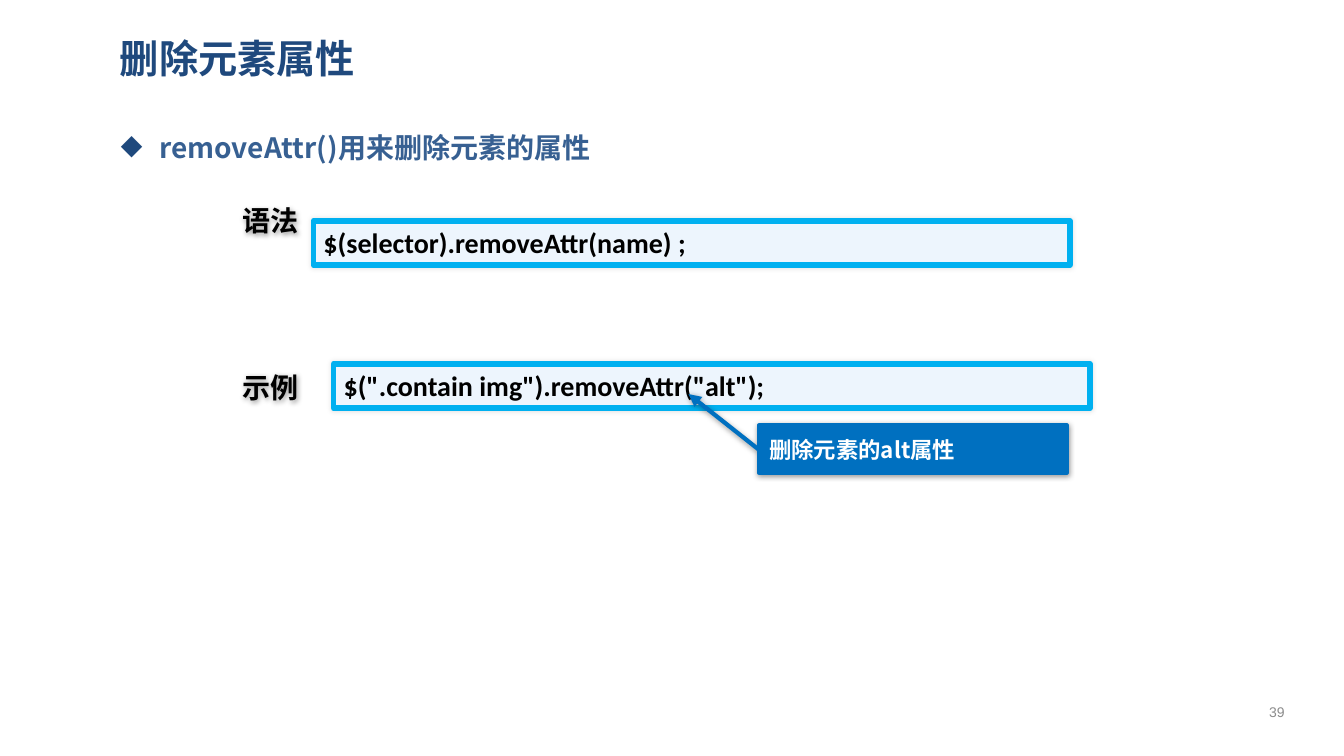
from lxml import etree
from pptx import Presentation
from pptx import util as u
from pptx.dml.color import RGBColor
from pptx.enum import shapes, text
from pptx.oxml import ns

CJK_FONT = "Noto Sans CJK SC"
SOFT_SHADOW = dict(alpha=10, blur=3, distance=0, angle=0)
STRONG_SHADOW = dict(alpha=40, blur=4, distance=1, angle=90)


def color(value):
    """Turn a hex string into a colour."""
    return RGBColor.from_string(value)


def add_xml(parent, tag, **attributes):
    """Append a drawing element with the given attributes."""
    element = etree.SubElement(parent, ns.qn(tag))
    for name, value in attributes.items():
        element.set(name, str(value))
    return element


def add_shadow(shape, alpha, blur, distance, angle):
    """Give a shape a black outer shadow."""
    shape.shadow.inherit = False
    effects = shape._element.spPr.find(ns.qn("a:effectLst"))
    shadow = add_xml(effects, "a:outerShdw", blurRad=u.Pt(blur), dist=u.Pt(distance),
                     dir=angle * 60000, algn="ctr", rotWithShape=0)
    black = add_xml(shadow, "a:srgbClr", val="000000")
    add_xml(black, "a:alpha", val=alpha * 1000)


def write(shape, content, size, hue, font=CJK_FONT, bold=True,
          anchor=text.MSO_ANCHOR.MIDDLE, align=text.PP_ALIGN.LEFT, wrap=True):
    """Write one styled run into a shape and return its paragraph."""
    frame = shape.text_frame
    frame.word_wrap = wrap
    frame.vertical_anchor = anchor
    paragraph = frame.paragraphs[0]
    paragraph.alignment = align
    run = paragraph.add_run()
    run.text = content
    run.font.size = u.Pt(size)
    run.font.bold = bold
    run.font.name = font
    run.font.color.rgb = color(hue)
    add_xml(run._r.get_or_add_rPr(), "a:ea", typeface=font)
    return paragraph


def add_text(slide, box, content, size, hue, **style):
    """Add a text box with narrow insets and return its paragraph."""
    shape = slide.shapes.add_textbox(*map(u.Inches, box))
    frame = shape.text_frame
    frame.margin_left = frame.margin_right = u.Inches(0.09)
    frame.margin_top = frame.margin_bottom = u.Inches(0.04)
    return write(shape, content, size, hue, **style)


def add_bullet(paragraph, symbol, hue, indent):
    """Give a paragraph a coloured bullet with a hanging indent."""
    properties = paragraph._p.get_or_add_pPr()
    properties.set("marL", str(u.Inches(indent)))
    properties.set("indent", str(-u.Inches(indent)))
    bullet_color = add_xml(properties, "a:buClr")
    add_xml(bullet_color, "a:srgbClr", val=hue)
    add_xml(properties, "a:buChar", char=symbol)


def add_panel(slide, kind, box, adjustments, fill, line, width, shadow):
    """Add a filled, outlined shape with a shadow."""
    shape = slide.shapes.add_shape(kind, *map(u.Inches, box))
    for index, value in enumerate(adjustments):
        shape.adjustments[index] = value
    shape.fill.solid()
    shape.fill.fore_color.rgb = color(fill)
    shape.line.color.rgb = color(line)
    shape.line.width = u.Pt(width)
    add_shadow(shape, **shadow)
    return shape


def add_code(slide, left, top, code):
    """Add a framed line of code."""
    panel = add_panel(slide, shapes.MSO_SHAPE.ROUNDED_RECTANGLE, (left, top, 7.5, 0.44),
                      [0], "EDF5FD", "00B0F0", 4, SOFT_SHADOW)
    write(panel, code, 20, "000000", font="Calibri", anchor=text.MSO_ANCHOR.TOP)


def add_label(slide, top, caption):
    """Add a shadowed label to the left of a code line."""
    label = slide.shapes.add_textbox(*map(u.Inches, (2.31, top, 0.77, 0.44)))
    write(label, caption, 20, "000000", wrap=False)
    add_shadow(label, **STRONG_SHADOW)


def add_callout(slide, box, adjustments, caption):
    """Add a callout whose leader ends in an arrowhead."""
    callout = add_panel(slide, shapes.MSO_SHAPE.LINE_CALLOUT_1, box, adjustments,
                        "0070C0", "0070C0", 3, STRONG_SHADOW)
    add_xml(callout.line._get_or_add_ln(), "a:headEnd", type="triangle")
    write(callout, caption, 16, "FFFFFF")


def main():
    """Build the slide and save it."""
    presentation = Presentation()
    presentation.slide_width = u.Inches(13.33)
    presentation.slide_height = u.Inches(7.5)
    slide = presentation.slides.add_slide(presentation.slide_layouts[6])

    add_text(slide, (1.1, 0.24, 11.65, 0.67), "删除元素属性", 28, "1F497D")
    point = add_text(slide, (1.11, 1.19, 11.65, 5.68), "removeAttr()用来删除元素的属性",
                     20, "376092", anchor=text.MSO_ANCHOR.TOP)
    point.line_spacing = 1.2
    add_bullet(point, "◆", "1F497D", 0.38)

    add_code(slide, 3.11, 2.19, "$(selector).removeAttr(name) ;")
    add_label(slide, 1.97, "语法")
    add_code(slide, 3.31, 3.61, '$(".contain img").removeAttr("alt");')
    add_label(slide, 3.62, "示例")
    add_callout(slide, (7.53, 4.22, 3.05, 0.47), (-0.66, -0.23, 0.52, 0), "删除元素的alt属性")

    add_text(slide, (12.34, 6.86, 0.65, 0.4), "39", 10, "8C8C8C", font="Arial",
             bold=False, align=text.PP_ALIGN.CENTER)
    presentation.save("out.pptx")


if __name__ == "__main__":
    main()
